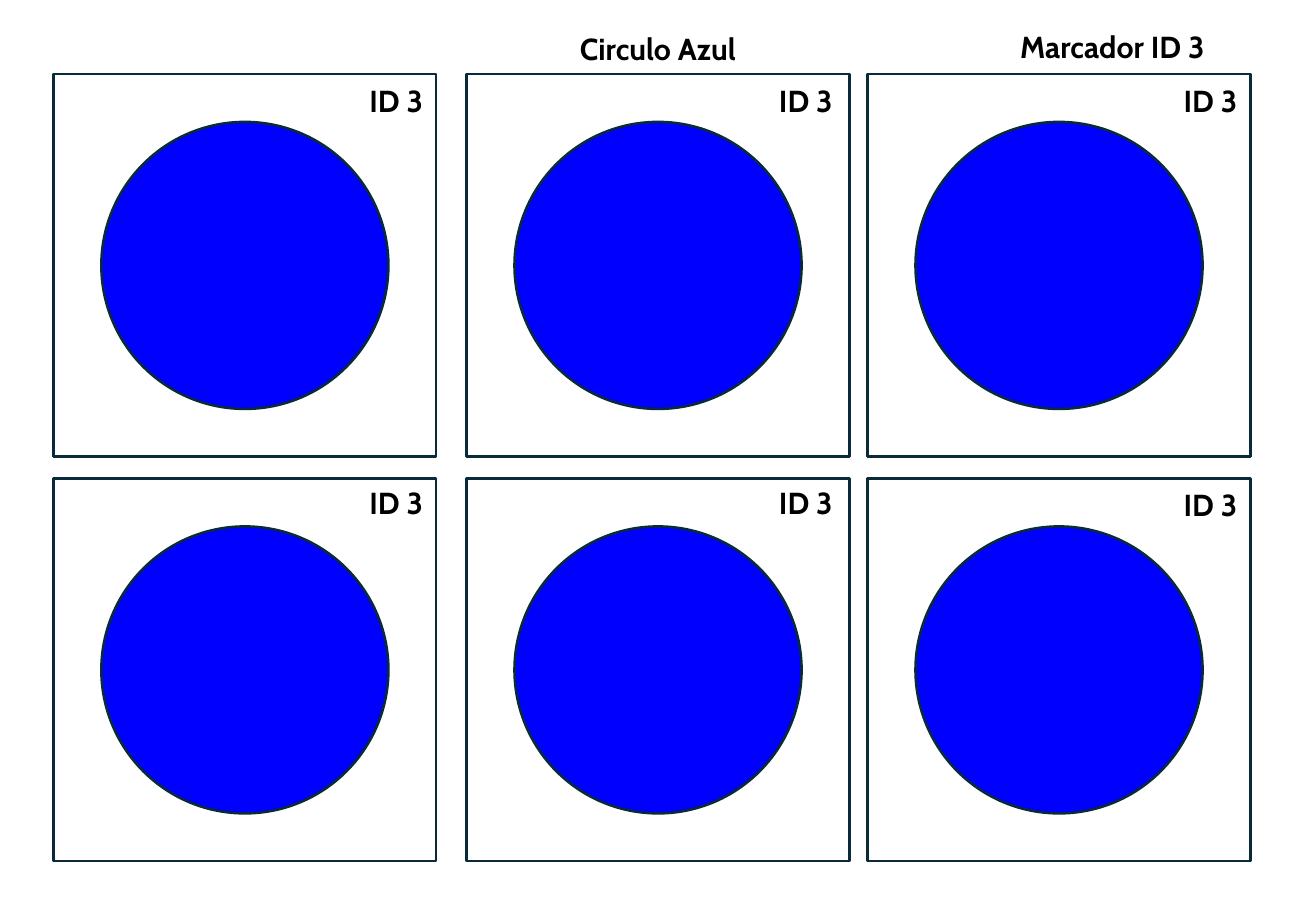
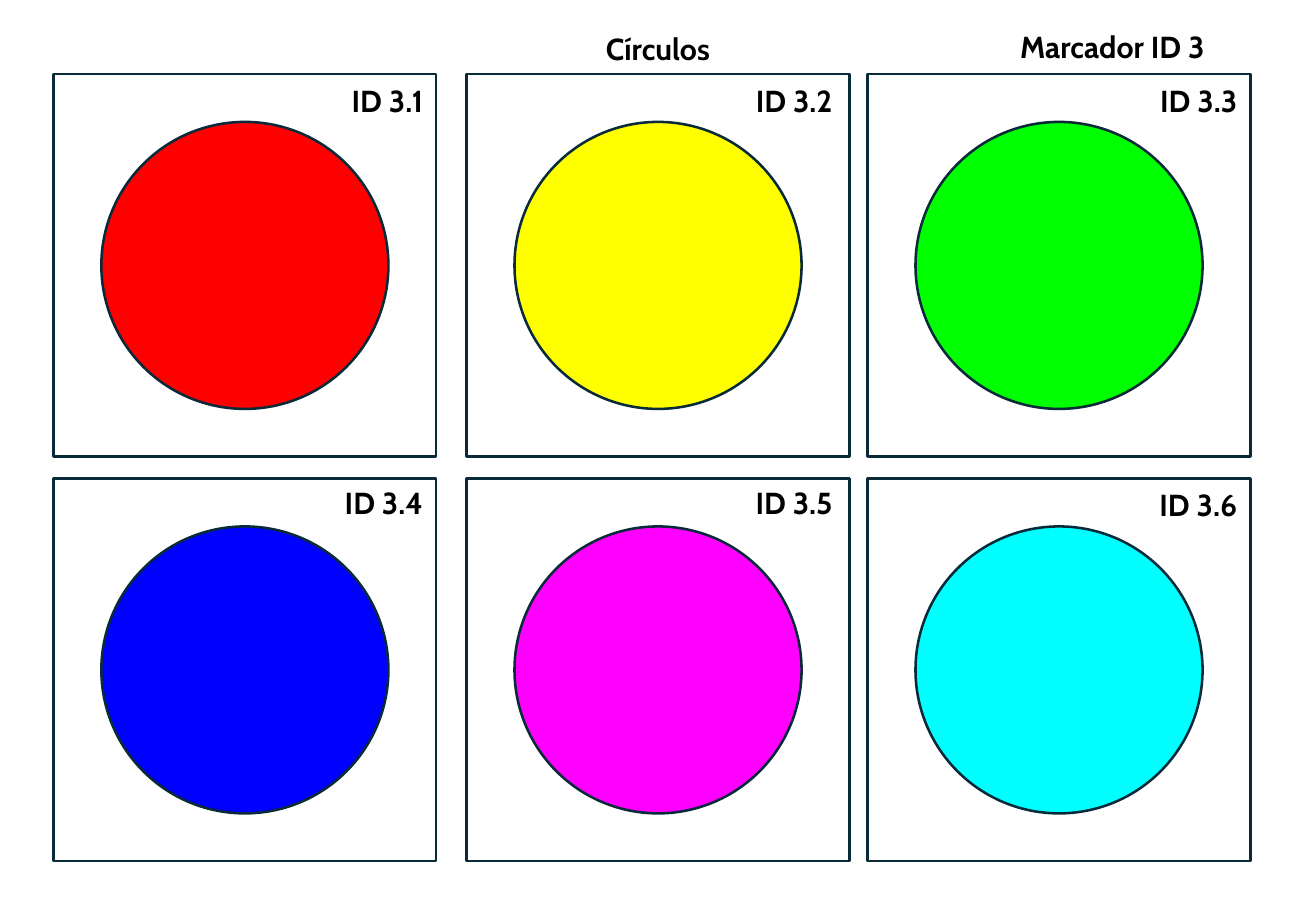
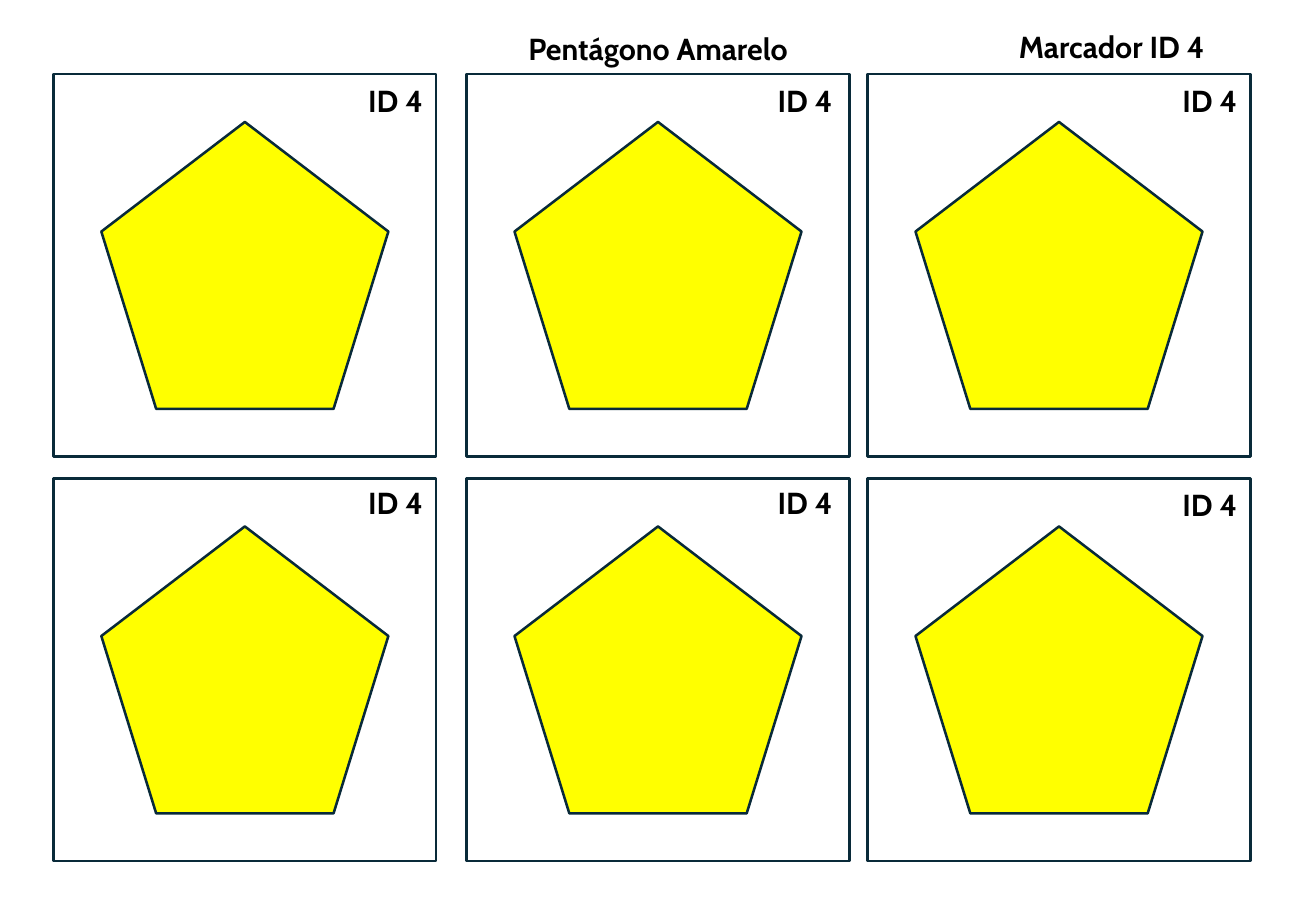
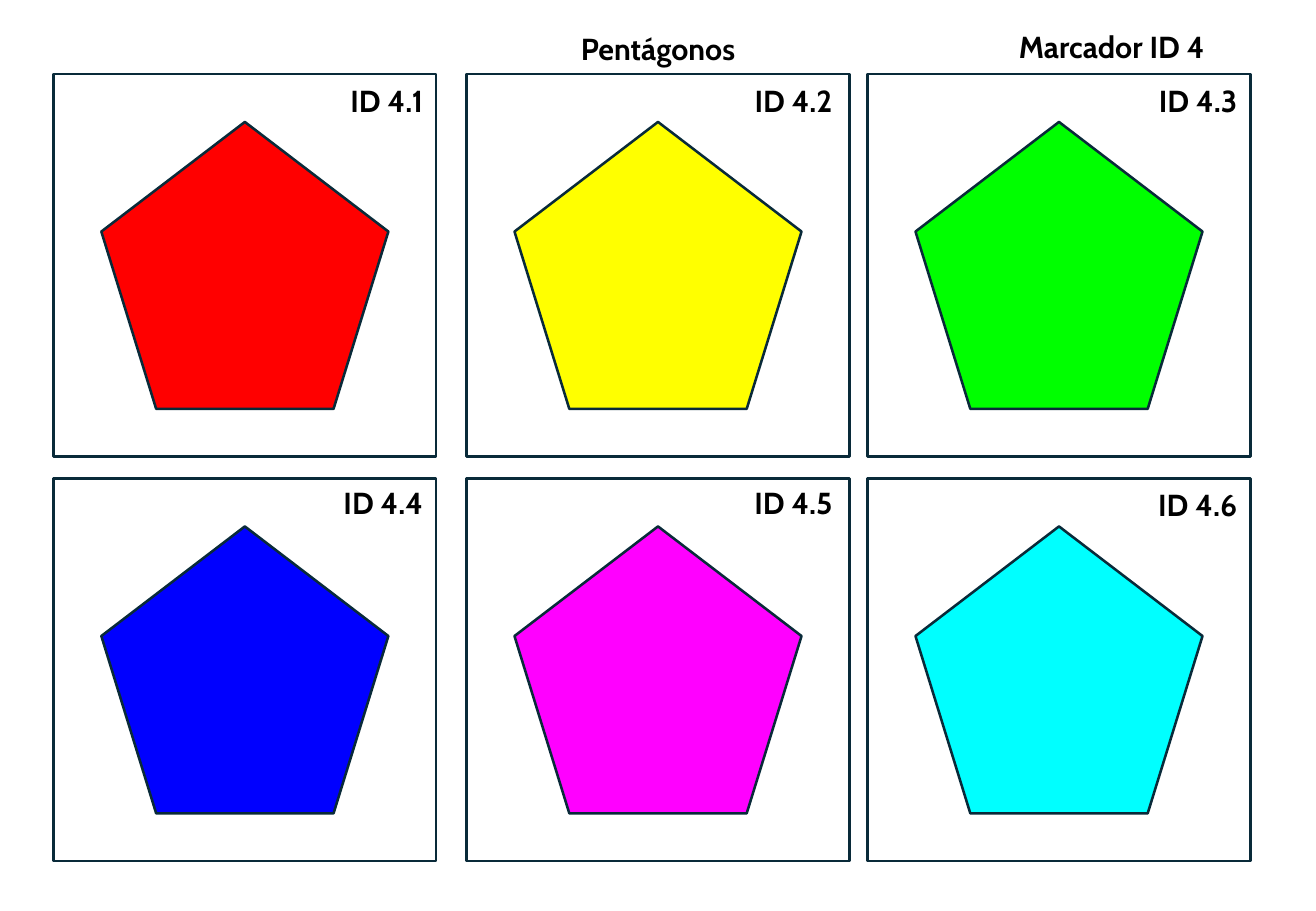
from dataclasses import dataclass

from pptx import Presentation
from pptx.dml.color import RGBColor
from pptx.enum.shapes import MSO_SHAPE
from pptx.enum.text import MSO_AUTO_SIZE, PP_ALIGN
from pptx.util import Inches, Pt

RECTANGLE = MSO_SHAPE.RECTANGLE
CIRCLE = MSO_SHAPE.OVAL
PENTAGON = MSO_SHAPE.REGULAR_PENTAGON
RIGHT = PP_ALIGN.RIGHT
CENTER = PP_ALIGN.CENTER
GROW = MSO_AUTO_SIZE.SHAPE_TO_FIT_TEXT


@dataclass(frozen=True)
class Theme:
    font: str = "Cabin"
    text_size: float = 18
    text_color: str = "000000"
    outline: str = "092A39"
    outline_width: float = 1.5
    red: str = "FF0000"
    yellow: str = "FFFF00"
    green: str = "00FF00"
    blue: str = "0000FF"
    magenta: str = "FF00FF"
    cyan: str = "00FFFF"


@dataclass(frozen=True)
class Box:
    left: float
    top: float
    width: float
    height: float

    def inches(self):
        return [Inches(v) for v in (self.left, self.top, self.width, self.height)]

    def centered(self, share):
        width, height = self.width * share, self.height * share
        return Box(self.left + (self.width - width) / 2,
                   self.top + (self.height - height) / 2, width, height)


THEME = Theme()
RAINBOW = (THEME.red, THEME.yellow, THEME.green,
           THEME.blue, THEME.magenta, THEME.cyan)

SLIDE_WIDTH, SLIDE_HEIGHT = 10.83, 7.5
CARD_SIDE = 3.15
COLUMN_LEFTS = (0.44, 3.84, 7.14)
LABEL_INSETS = (0.01, 0.04, 0.01)
ROW_TOPS = (0.61, 3.94)
LABEL_DROPS = ((0.02, 0.02, 0.02), (0, 0, 0.01))
SYMBOL_SHARE = 0.75
LABEL_WIDTH, TEXT_HEIGHT = 0.9, 0.4
TITLE_BOX = Box(3.41, 0.2, 4.01, TEXT_HEIGHT)
MARKER_BOX = Box(7.42, 0.18, 2.59, TEXT_HEIGHT)

SHEETS = (
    ("Circulo Azul", 3, CIRCLE, (THEME.blue,) * 6, False),
    ("Círculos", 3, CIRCLE, RAINBOW, True),
    ("Pentágono Amarelo", 4, PENTAGON, (THEME.yellow,) * 6, False),
    ("Pentágonos", 4, PENTAGON, RAINBOW, True),
)


def add_text(slide, box, text, align=RIGHT, size=THEME.text_size,
             color=THEME.text_color, bold=True):
    frame = slide.shapes.add_textbox(*box.inches()).text_frame
    frame.word_wrap = True
    frame.auto_size = GROW
    paragraph = frame.paragraphs[0]
    paragraph.alignment = align
    run = paragraph.add_run()
    run.text = text
    run.font.name = THEME.font
    run.font.size = Pt(size)
    run.font.bold = bold
    run.font.color.rgb = RGBColor.from_string(color)


def add_outlined(slide, outline, box, fill=None):
    shape = slide.shapes.add_shape(outline, *box.inches())
    shape.shadow.inherit = False
    if fill:
        shape.fill.solid()
        shape.fill.fore_color.rgb = RGBColor.from_string(fill)
    else:
        shape.fill.background()
    shape.line.color.rgb = RGBColor.from_string(THEME.outline)
    shape.line.width = Pt(THEME.outline_width)


def add_header(slide, title, marker):
    add_text(slide, TITLE_BOX, title, align=CENTER)
    add_text(slide, MARKER_BOX, f"Marcador ID {marker}")


def add_card(slide, card, symbol, color, label, label_inset, label_drop):
    add_outlined(slide, RECTANGLE, card)
    add_outlined(slide, symbol, card.centered(SYMBOL_SHARE), color)
    label_left = card.left + card.width - label_inset - LABEL_WIDTH
    label_box = Box(label_left, card.top + label_drop, LABEL_WIDTH, TEXT_HEIGHT)
    add_text(slide, label_box, label)


def add_sheet(prs, title, marker, symbol, colors, numbered):
    slide = prs.slides.add_slide(prs.slide_layouts[6])
    add_header(slide, title, marker)
    for index, color in enumerate(colors):
        row, column = divmod(index, len(COLUMN_LEFTS))
        card = Box(COLUMN_LEFTS[column], ROW_TOPS[row], CARD_SIDE, CARD_SIDE)
        label = f"ID {marker}.{index + 1}" if numbered else f"ID {marker}"
        add_card(slide, card, symbol, color, label,
                 LABEL_INSETS[column], LABEL_DROPS[row][column])


def main():
    prs = Presentation()
    prs.slide_width = Inches(SLIDE_WIDTH)
    prs.slide_height = Inches(SLIDE_HEIGHT)
    for sheet in SHEETS:
        add_sheet(prs, *sheet)
    prs.save("out.pptx")


if __name__ == "__main__":
    main()
